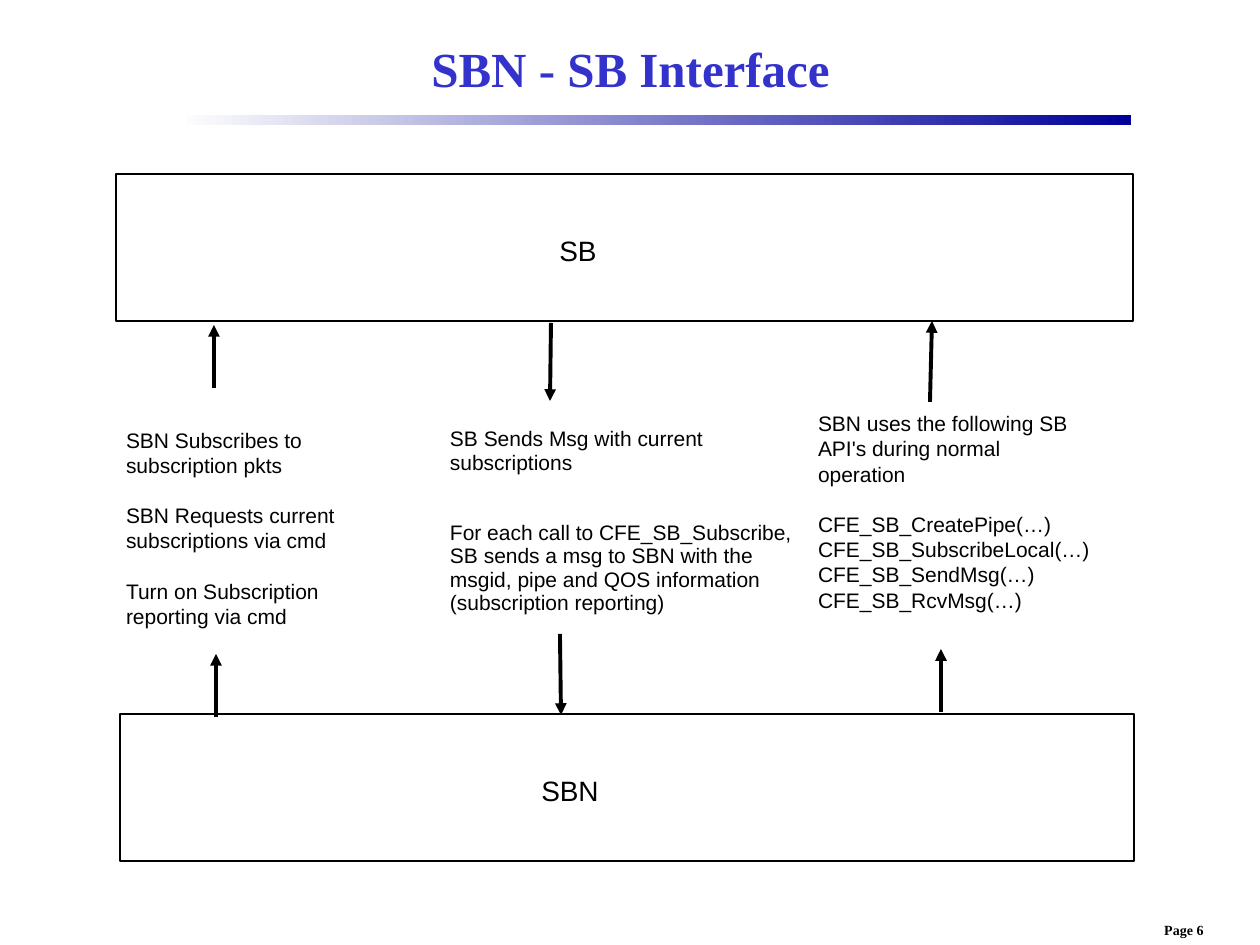
from lxml import etree
from pptx import Presentation
from pptx.dml.color import RGBColor
from pptx.enum.shapes import MSO_CONNECTOR, MSO_SHAPE
from pptx.enum.text import MSO_ANCHOR, MSO_AUTO_SIZE, PP_ALIGN
from pptx.oxml.ns import qn
from pptx.util import Emu, Pt

STRAIGHT = MSO_CONNECTOR.STRAIGHT
RECTANGLE = MSO_SHAPE.RECTANGLE
TOP, MIDDLE = MSO_ANCHOR.TOP, MSO_ANCHOR.MIDDLE
LEFT, CENTER = PP_ALIGN.LEFT, PP_ALIGN.CENTER
NO_AUTOFIT = MSO_AUTO_SIZE.NONE
EMU_PER_PX = 914400 / 126
MARGIN_X, MARGIN_Y = 13, 6
BLACK, BLUE, NAVY, PALE = "000000", "3333CC", "000099", "FCFCFD"


def px(length):
    return Emu(round(length * EMU_PER_PX))


def color(hex_value):
    return RGBColor.from_string(hex_value)


class InterfaceSlide:
    """Holds the diagram style and the slide it is drawn on."""

    heading = {"name": "Times New Roman", "size": Pt(28), "bold": True}
    footer = {"name": "Times New Roman", "size": Pt(8), "bold": True}
    block_label = {"name": "Arial", "size": Pt(16)}
    note = {"name": "Arial", "size": Pt(12)}

    def __init__(self, presentation):
        self.slide = presentation.slides.add_slide(presentation.slide_layouts[5])

    def fill_frame(self, frame, paragraphs, font, ink=BLACK, align=LEFT,
                   anchor=TOP, wrap=True, line_spacing=None):
        """Fill a frame from (text, space before in points) pairs."""
        layout = {"word_wrap": wrap, "auto_size": NO_AUTOFIT, "vertical_anchor": anchor,
                  "margin_left": px(MARGIN_X), "margin_right": px(MARGIN_X),
                  "margin_top": px(MARGIN_Y), "margin_bottom": px(MARGIN_Y)}
        for attribute, value in layout.items():
            setattr(frame, attribute, value)
        for index, (text, gap) in enumerate(paragraphs):
            paragraph = frame.add_paragraph() if index else frame.paragraphs[0]
            spacing = {"alignment": align, "space_before": Pt(gap),
                       "line_spacing": line_spacing}
            for attribute, value in spacing.items():
                setattr(paragraph, attribute, value)
            run = paragraph.add_run()
            run.text = text
            for attribute, value in font.items():
                setattr(run.font, attribute, value)
            run.font.color.rgb = color(ink)

    def title(self, text, box):
        title = self.slide.shapes.title
        title.left, title.top, title.width, title.height = map(px, box)
        self.fill_frame(title.text_frame, [(text, 0)], self.heading, BLUE, CENTER)

    def text(self, paragraphs, box, font, **options):
        frame = self.slide.shapes.add_textbox(*map(px, box)).text_frame
        self.fill_frame(frame, paragraphs, font, **options)

    def rectangle(self, box):
        rectangle = self.slide.shapes.add_shape(RECTANGLE, *map(px, box))
        rectangle.shadow.inherit = False
        return rectangle

    def rule(self, box):
        rule = self.rectangle(box)
        rule.line.fill.background()
        rule.fill.gradient()
        rule.fill.gradient_angle = 0
        for stop, shade in zip(rule.fill.gradient_stops, (PALE, NAVY)):
            stop.color.rgb = color(shade)

    def block(self, label, box, label_box):
        block = self.rectangle(box)
        block.fill.background()
        block.line.color.rgb = color(BLACK)
        block.line.width = Pt(0.75)
        self.text([(label, 0)], label_box, self.block_label,
                  align=CENTER, anchor=MIDDLE, wrap=False)

    def arrow(self, start, end):
        arrow = self.slide.shapes.add_connector(STRAIGHT, *map(px, start + end))
        arrow.line.color.rgb = color(BLACK)
        arrow.line.width = Pt(2.25)
        properties = arrow._element.spPr
        etree.SubElement(properties.find(qn("a:ln")), qn("a:tailEnd"), type="triangle")
        etree.SubElement(properties, qn("a:effectLst"))


def main():
    presentation = Presentation()
    presentation.slide_width, presentation.slide_height = px(1260), px(945)
    diagram = InterfaceSlide(presentation)

    # Heading, rule and page number
    diagram.title("SBN - SB Interface", (305, 32, 651, 72))
    diagram.rule((187, 115, 944, 10))
    diagram.text([("Page 6", 0)], (1152, 916, 64, 29), diagram.footer,
                 align=CENTER, wrap=False)

    # The two communicating blocks
    diagram.block("SB", (116, 174, 1017, 147), (547, 227, 62, 47))
    diagram.block("SBN", (120, 714, 1014, 147), (529, 767, 82, 47))

    # Notes on each exchange; a gap stands for one or two lines
    subscribing = [
        ("SBN Subscribes to subscription pkts", 0),
        ("SBN Requests current subscriptions via cmd", 14.4),
        ("Turn on Subscription reporting via cmd", 14.4),
    ]
    reporting = [
        ("SB Sends Msg with current", 0),
        ("subscriptions", 0),
        ("For each call to CFE_SB_Subscribe,", 26.8),
        ("SB sends a msg to SBN with the", 0),
        ("msgid, pipe and QOS information", 0),
        ("(subscription reporting)", 0),
    ]
    operating = [
        ("SBN uses the following SB API's during normal operation", 0),
        ("CFE_SB_CreatePipe(…)", 14.4),
        ("CFE_SB_SubscribeLocal(…)", 0),
        ("CFE_SB_SendMsg(…)", 0),
        ("CFE_SB_RcvMsg(…)", 0),
    ]
    diagram.text(subscribing, (113, 421, 243, 214), diagram.note, anchor=MIDDLE)
    diagram.text(operating, (805, 417, 299, 189), diagram.note, anchor=MIDDLE)
    diagram.text(reporting, (437, 422, 360, 200), diagram.note,
                 wrap=False, line_spacing=0.93)

    # Arrows, each from its sender towards its receiver
    arrows = [
        ((214, 388), (214, 325)), ((216, 717), (216, 654)),
        ((551, 323), (550, 401)), ((560, 634), (561, 715)),
        ((930, 402), (932, 321)), ((941, 712), (941, 649)),
    ]
    for start, end in arrows:
        diagram.arrow(start, end)

    presentation.save("out.pptx")


if __name__ == "__main__":
    main()
